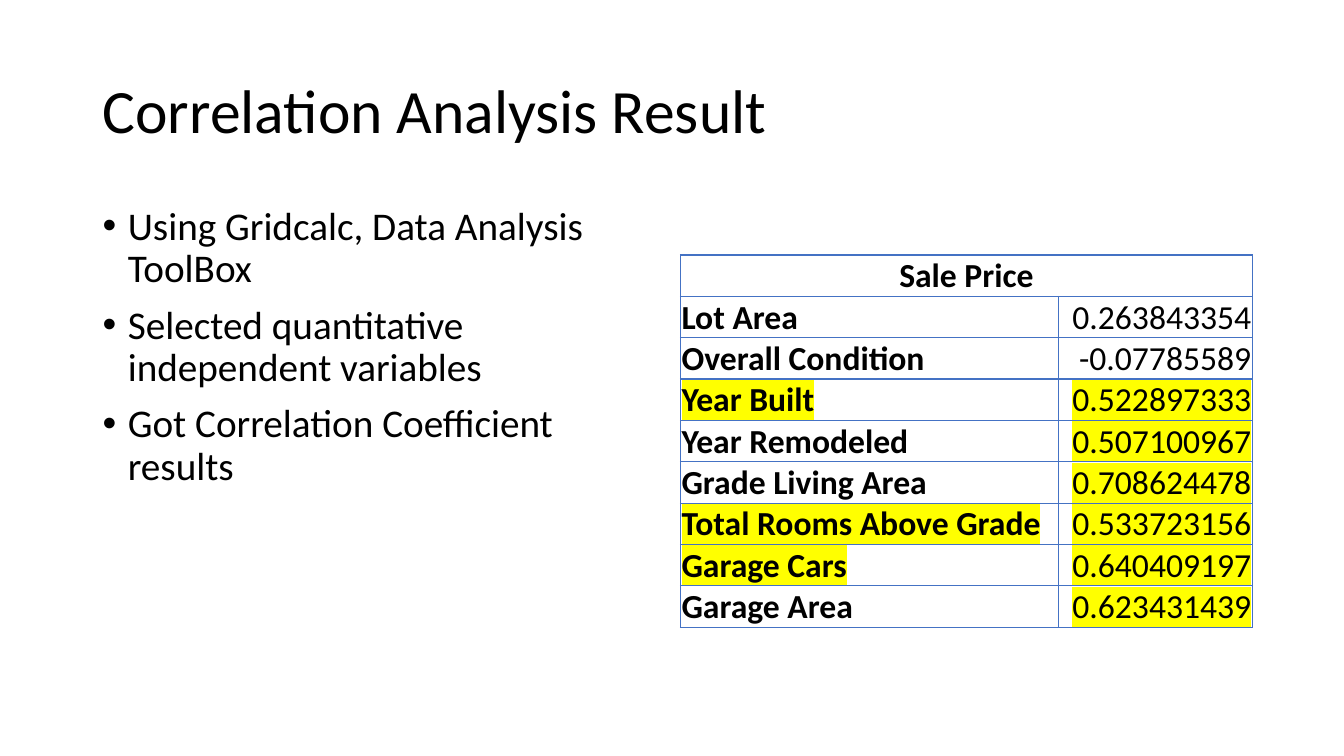
import pptx
import pptx.dml.color
import pptx.enum.text
import pptx.oxml
import pptx.oxml.ns
import pptx.util
from lxml import etree

Inches = pptx.util.Inches
Pt = pptx.util.Pt
qn = pptx.oxml.ns.qn
Align = pptx.enum.text.PP_ALIGN
Anchor = pptx.enum.text.MSO_ANCHOR

BULLETS = [
    "Using Gridcalc, Data Analysis ToolBox",
    "Selected quantitative independent variables",
    "Got Correlation Coefficient results",
]
# variable, coefficient, name highlighted, coefficient highlighted
CORRELATIONS = [
    ("Lot Area", "0.263843354", False, False),
    ("Overall Condition", "-0.07785589", False, False),
    ("Year Built", "0.522897333", True, True),
    ("Year Remodeled", "0.507100967", False, True),
    ("Grade Living Area", "0.708624478", False, True),
    ("Total Rooms Above Grade", "0.533723156", True, True),
    ("Garage Cars", "0.640409197", True, True),
    ("Garage Area", "0.623431439", False, True),
]


def rgb(value):
    return pptx.dml.color.RGBColor.from_string(value)


class SlideBuilder:
    font = "Calibri"
    ink = "000000"
    border = "4472C4"
    marker = "FFFF00"

    def __init__(self, slide):
        self.slide = slide

    def run(self, p, text, size, bold=False, highlight=False):
        r = p.add_run()
        r.text = text
        r.font.size = Pt(size)
        r.font.bold = bold
        r.font.color.rgb = rgb(self.ink)
        r.font.name = self.font
        if highlight:
            mark = etree.Element(qn("a:highlight"))
            etree.SubElement(mark, qn("a:srgbClr"), val=self.marker)
            r._r.get_or_add_rPr().find(qn("a:latin")).addprevious(mark)

    def text(self, box, lines, size, anchor=Anchor.TOP, bullets=False):
        sp = self.slide.shapes.add_textbox(*map(Inches, box))
        tf = sp.text_frame
        tf.word_wrap = True
        tf.vertical_anchor = anchor
        for i, line in enumerate(lines):
            p = tf.add_paragraph() if i else tf.paragraphs[0]
            p.line_spacing = 0.9
            if bullets:
                p.space_before = Pt(10)
                self.bullet(p)
            self.run(p, line, size)

    def bullet(self, p):
        pPr = p._p.get_or_add_pPr()
        pPr.set("marL", str(Inches(0.25)))
        pPr.set("indent", str(-Inches(0.25)))
        etree.SubElement(pPr, qn("a:buFont"), typeface="Arial")
        etree.SubElement(pPr, qn("a:buChar"), char="•")

    def table(self, left, top, widths, row_height, rows):
        frame = self.slide.shapes.add_table(
            rows, len(widths), Inches(left), Inches(top),
            Inches(sum(widths)), Inches(row_height * rows))
        table = frame.table
        table.first_row = table.horz_banding = False
        for column, width in zip(table.columns, widths):
            column.width = Inches(width)
        for cell in table.iter_cells():
            self.outline(cell)
            cell.fill.background()
            cell.vertical_anchor = Anchor.BOTTOM
            cell.margin_left = cell.margin_right = cell.margin_top = Inches(0.01)
            cell.margin_bottom = 0
        return table

    def outline(self, cell):
        tcPr = cell._tc.get_or_add_tcPr()
        for side in ("a:lnL", "a:lnR", "a:lnT", "a:lnB"):
            ln = etree.SubElement(tcPr, qn(side), w=str(Pt(1)))
            fill = etree.SubElement(ln, qn("a:solidFill"))
            etree.SubElement(fill, qn("a:srgbClr"), val=self.border)

    def cell(self, cell, text, align, bold=False, highlight=False):
        p = cell.text_frame.paragraphs[0]
        p.alignment = align
        self.run(p, text, 24, bold, highlight)


def main():
    prs = pptx.Presentation()
    prs.slide_width, prs.slide_height = Inches(13.33), Inches(7.5)
    s = SlideBuilder(prs.slides.add_slide(prs.slide_layouts[6]))

    s.text((0.92, 0.4, 11.5, 1.45), ["Correlation Analysis Result"], 44,
           anchor=Anchor.MIDDLE)
    s.text((0.92, 2, 5.67, 4.76), BULLETS, 28, bullets=True)

    table = s.table(6.75, 2.53, (3.75, 1.92), 0.41, len(CORRELATIONS) + 1)
    table.cell(0, 0).merge(table.cell(0, 1))
    s.cell(table.cell(0, 0), "Sale Price", Align.CENTER, bold=True)
    for row, (name, value, mark_name, mark_value) in enumerate(CORRELATIONS, 1):
        s.cell(table.cell(row, 0), name, Align.LEFT, True, mark_name)
        s.cell(table.cell(row, 1), value, Align.RIGHT, False, mark_value)

    prs.save("out.pptx")


if __name__ == "__main__":
    main()
